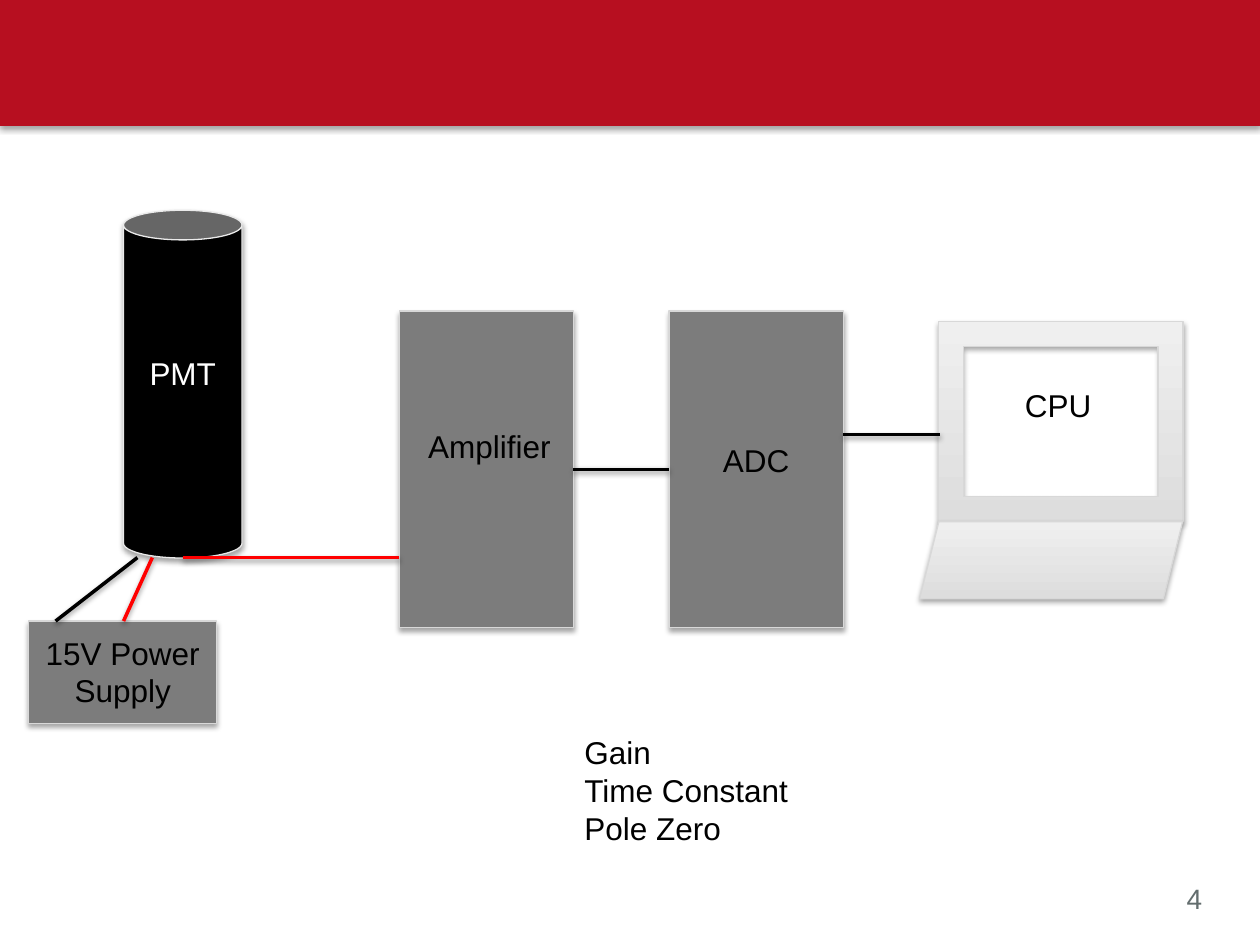
from dataclasses import dataclass

from lxml.etree import SubElement
from pptx import Presentation
from pptx.dml.color import RGBColor
from pptx.enum.shapes import MSO_CONNECTOR, MSO_SHAPE as Preset
from pptx.enum.text import MSO_ANCHOR as Anchor, PP_ALIGN as Align
from pptx.oxml.ns import qn
from pptx.util import Cm, Pt


@dataclass(frozen=True)
class Theme:
    font: str = "Arial"
    label_size: float = 18
    number_size: float = 16
    outline: float = 0.75
    wire: float = 2
    red: str = "B70F20"
    signal: str = "FF0000"
    black: str = "000000"
    white: str = "FFFFFF"
    unit: str = "7C7C7C"
    edge: str = "D8D8D8"
    tube_edge: str = "EAEAEA"
    number: str = "636D6E"
    metal: tuple = ("DDDDDD", "EFEFEF")


def rgb(value):
    return RGBColor.from_string(value)


class Diagram:
    def __init__(self, page, theme):
        self.page = page
        self.theme = theme

    def shadow(self, item, distance, alpha):
        """Replace the inherited effects with a soft shadow straight below."""
        effects = SubElement(item._element.spPr, qn("a:effectLst"))
        outer = SubElement(effects, qn("a:outerShdw"), {
            "blurRad": str(Pt(3.1)), "dist": str(Pt(distance)),
            "dir": "5400000", "rotWithShape": "0"})
        color = SubElement(outer, qn("a:srgbClr"), val=self.theme.black)
        SubElement(color, qn("a:alpha"), val=str(alpha * 1000))

    def shape(self, preset, bounds, fill, edge=None):
        """Draw a shape; a tuple of colours fills it from bottom to top."""
        item = self.page.shapes.add_shape(preset, *map(Cm, bounds))
        if isinstance(fill, tuple):
            item.fill.gradient()
            item.fill.gradient_angle = 90
            for stop, color in zip(item.fill.gradient_stops, fill):
                stop.color.rgb = rgb(color)
        else:
            item.fill.solid()
            item.fill.fore_color.rgb = rgb(fill)
        if edge:
            item.line.color.rgb = rgb(edge)
            item.line.width = Pt(self.theme.outline)
        else:
            item.line.fill.background()
        self.shadow(item, 1.8, 35)
        return item

    def add_lines(self, frame, lines, color, size, align):
        for index, line in enumerate(lines):
            para = frame.add_paragraph() if index else frame.paragraphs[0]
            para.alignment = align
            span = para.add_run()
            span.text = line
            span.font.color.rgb = rgb(color)
            formats = {"name": self.theme.font, "size": Pt(size)}
            for name, value in formats.items():
                setattr(span.font, name, value)

    def label(self, bounds, *lines, color=None, size=None,
              align=Align.CENTER, wrap=True):
        box = self.page.shapes.add_textbox(*map(Cm, bounds))
        box.text_frame.word_wrap = wrap
        self.add_lines(box.text_frame, lines, color or self.theme.black,
                       size or self.theme.label_size, align)

    def wire(self, start, end, color, source=None, target=None):
        """Draw a line, joined right to left when both shapes are given."""
        line = self.page.shapes.add_connector(
            MSO_CONNECTOR.STRAIGHT, *map(Cm, start + end))
        if source and target:
            line.begin_connect(source, 3)
            line.end_connect(target, 1)
        line.line.color.rgb = rgb(color)
        line.line.width = Pt(self.theme.wire)
        self.shadow(line, 1.6, 38)


def main():
    deck = Presentation()
    deck.slide_width, deck.slide_height = Cm(25.4), Cm(19.05)
    theme = Theme()
    page = deck.slides.add_slide(deck.slide_layouts[6])
    diagram = Diagram(page, theme)

    diagram.shape(Preset.RECTANGLE, (0, 0, 25.4, 2.54), theme.red)
    diagram.label((23.67, 17.65, 1.22, 0.94), "4", color=theme.number,
                  size=theme.number_size, align=Align.LEFT, wrap=False)

    tube = diagram.shape(Preset.CAN, (2.49, 4.24, 2.39, 7.01),
                         theme.black, theme.tube_edge)
    formats = {"vertical_anchor": Anchor.MIDDLE, "margin_bottom": Cm(0.87)}
    for name, value in formats.items():
        setattr(tube.text_frame, name, value)
    diagram.add_lines(tube.text_frame, ["PMT"], theme.white,
                      theme.label_size, Align.CENTER)

    amplifier, adc = [
        diagram.shape(Preset.RECTANGLE, (left, 6.27, 3.51, 6.38),
                      theme.unit, theme.edge)
        for left in (8.05, 13.49)]
    diagram.label((8.38, 8.48, 3.15, 1.02), "Amplifier", align=Align.LEFT)
    diagram.label((13.67, 8.76, 3.15, 1.02), "ADC")

    diagram.shape(Preset.FRAME, (18.92, 6.48, 4.93, 4.04),
                  theme.metal, theme.edge)
    diagram.shape(Preset.PARALLELOGRAM, (18.54, 10.52, 5.3, 1.55),
                  theme.metal, theme.edge)
    diagram.label((19.63, 7.65, 3.4, 1.02), "CPU")

    diagram.wire((11.56, 9.46), (13.49, 9.46), theme.black, amplifier, adc)
    diagram.wire((17, 8.76), (18.95, 8.76), theme.black)
    diagram.wire((3.68, 11.24), (8.05, 11.24), theme.signal)
    diagram.label((11.53, 14.66, 4.95, 2.57), "Gain", "Time Constant",
                  "Pole Zero", align=Align.LEFT)

    diagram.shape(Preset.RECTANGLE, (0.58, 12.52, 3.78, 2.06),
                  theme.unit, theme.edge)
    diagram.wire((2.49, 12.52), (3.07, 11.24), theme.signal)
    diagram.wire((1.12, 12.52), (2.77, 11.24), theme.black)
    diagram.label((0.33, 12.65, 4.29, 1.8), "15V Power Supply")

    deck.save("out.pptx")


if __name__ == "__main__":
    main()
